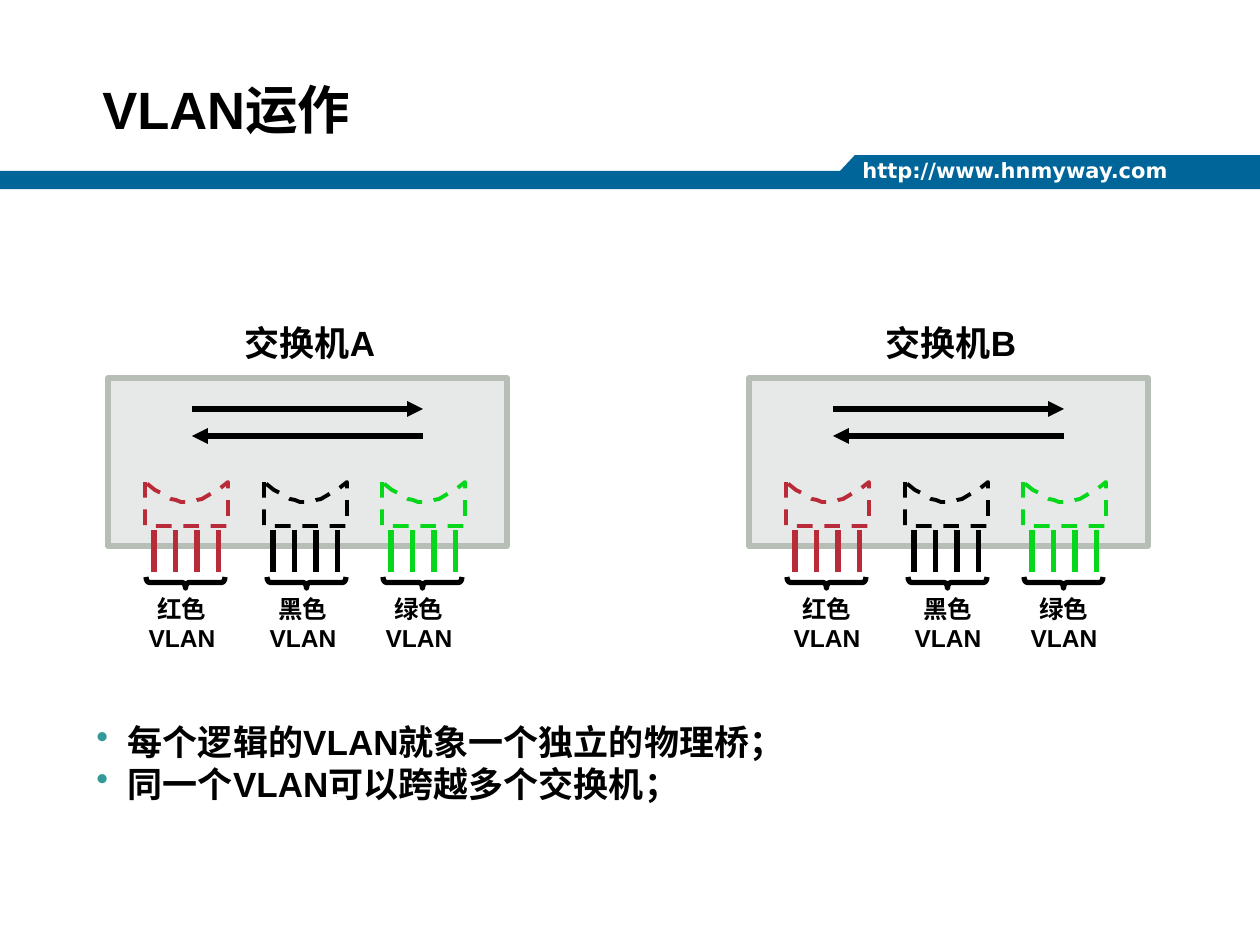
import math
from lxml import etree
from pptx import Presentation
from pptx.dml.color import RGBColor
from pptx.enum.dml import MSO_LINE
from pptx.enum.shapes import MSO_CONNECTOR, MSO_SHAPE
from pptx.enum.text import MSO_ANCHOR, PP_ALIGN
from pptx.oxml.ns import qn
from pptx.util import Pt

PX = 914400 / 126
RECT, BRACE = MSO_SHAPE.RECTANGLE, MSO_SHAPE.RIGHT_BRACE
LINE, DASH = MSO_CONNECTOR.STRAIGHT, MSO_LINE.DASH
TOP, MID, LOW = MSO_ANCHOR.TOP, MSO_ANCHOR.MIDDLE, MSO_ANCHOR.BOTTOM
LEFT, MIDDLE = PP_ALIGN.LEFT, PP_ALIGN.CENTER
HEX = {"band": "006699", "white": "FFFFFF", "black": "000000", "red": "B92B38",
       "green": "07D71B", "case": "E7E9E8", "edge": "B7BEB6", "dot": "339999"}
INK = {name: RGBColor.from_string(code) for name, code in HEX.items()}

deck = Presentation()
deck.slide_width, deck.slide_height = round(1260 * PX), round(945 * PX)
slide = deck.slides.add_slide(deck.slide_layouts[6])
shapes = slide.shapes


def text(words, box, size, font="Arial", ink="black", align=LEFT, anchor=MID,
         wrap=True, space=None, bullet=False):
    """Add a bold text box, one paragraph for each line of words."""
    frame = shapes.add_textbox(*[round(n * PX) for n in box]).text_frame
    frame.word_wrap, frame.vertical_anchor = wrap, anchor
    frame.text = words
    for para in frame.paragraphs:
        para.alignment = align
        para.line_spacing = space
        if bullet:
            props = para._p.get_or_add_pPr()
            props.set("marL", "228600")
            props.set("indent", "-228600")
            tint = etree.SubElement(props, qn("a:buClr"))
            etree.SubElement(tint, qn("a:srgbClr"), val=HEX["dot"])
            etree.SubElement(props, qn("a:buChar"), char="•")
        para.font.name, para.font.size, para.font.bold = font, Pt(size), True
        para.font.color.rgb = INK[ink]


def line(home, x1, y1, x2, y2, ink="black", arrow=False):
    """Add a 3 pt line to the shape tree home."""
    wire = home.add_connector(LINE, *[round(n * PX) for n in (x1, y1, x2, y2)])
    wire.line.color.rgb, wire.line.width = INK[ink], Pt(3)
    etree.SubElement(wire._element.spPr, qn("a:effectLst"))
    if arrow:
        etree.SubElement(wire.line._get_or_add_ln(), qn("a:tailEnd"), type="triangle")


# Header band
build = shapes.build_freeform(0, 189, scale=PX)
build.add_line_segments([(0, 171), (840, 171), (855, 155), (1260, 155), (1260, 189)])
band = build.convert_to_shape()
band.shadow.inherit = False
band.fill.solid()
band.fill.fore_color.rgb = INK["band"]
band.line.fill.background()
text("http://www.hnmyway.com", (850, 151, 368, 38), 12, font="DejaVu Sans",
     ink="white", anchor=TOP)
text("VLAN运作", (90, 32, 1123, 115), 30, anchor=LOW, space=0.9)

# Colour, label, then left of basin, brace and label box, and label width
PORTS = [("red", "红色\nVLAN", 145, 146, 136, 92),
         ("black", "黑色\nVLAN ", 264, 267, 254, 98),
         ("green", "绿色\nVLAN", 382, 383, 373, 92)]
WIDE, STEPS = 83, 16
for name, dx, shift in (("A", 0, 0), ("B", 641, 645)):
    text("交换机" + name, (228 + dx, 315, 164, 55), 20, align=MIDDLE, wrap=False)
    case = shapes.add_shape(RECT, *[round(n * PX) for n in (108 + dx, 378, 399, 168)])
    case.shadow.inherit = False
    case.fill.solid()
    case.fill.fore_color.rgb = INK["case"]
    case.line.color.rgb, case.line.width = INK["edge"], Pt(3)
    line(shapes, 192 + dx, 409, 423 + dx, 409, arrow=True)
    line(shapes, 423 + dx, 436, 192 + dx, 436, arrow=True)

    for ink, label, basin, clip, left, width in PORTS:
        x = basin + dx
        rim = [(x + WIDE * i / STEPS, 482 + 20 * math.sin(math.pi * i / STEPS))
               for i in range(STEPS, 0, -1)]
        build = shapes.build_freeform(x, 482, scale=PX)
        build.add_line_segments([(x, 526), (x + WIDE, 526)] + rim)
        tray = build.convert_to_shape()
        tray.shadow.inherit = False
        tray.fill.background()
        tray.line.color.rgb, tray.line.width = INK[ink], Pt(2.25)
        tray.line.dash_style = DASH

        pins = shapes.add_group_shape().shapes
        for i in range(4):
            pin = x + 9 + i * 21.5
            line(pins, pin, 530, pin, 572, ink)

        box = (clip + dx + 34, 543, 11, 79)
        brace = shapes.add_shape(BRACE, *[round(n * PX) for n in box])
        brace.rotation = 90
        brace.adjustments[0] = 0.3
        brace.shadow.inherit = False
        brace.fill.background()
        brace.line.color.rgb, brace.line.width = INK["black"], Pt(3)
        text(label, (left + shift, 587, width, 72), 14, align=MIDDLE, wrap=False)

text("每个逻辑的VLAN就象一个独立的物理桥；\n同一个VLAN可以跨越多个交换机；",
     (84, 714, 1052, 97), 20, bullet=True)
deck.save("out.pptx")
